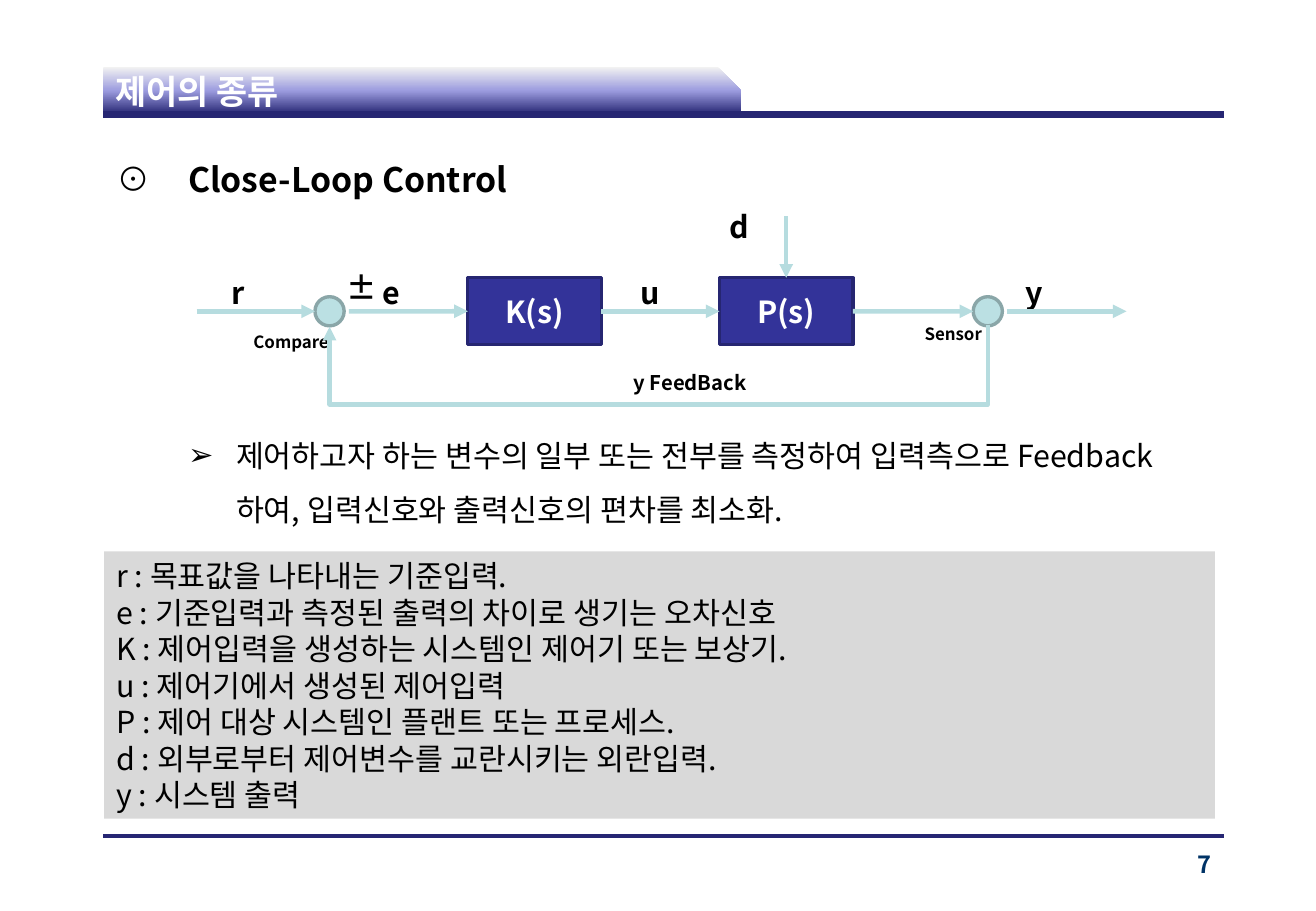
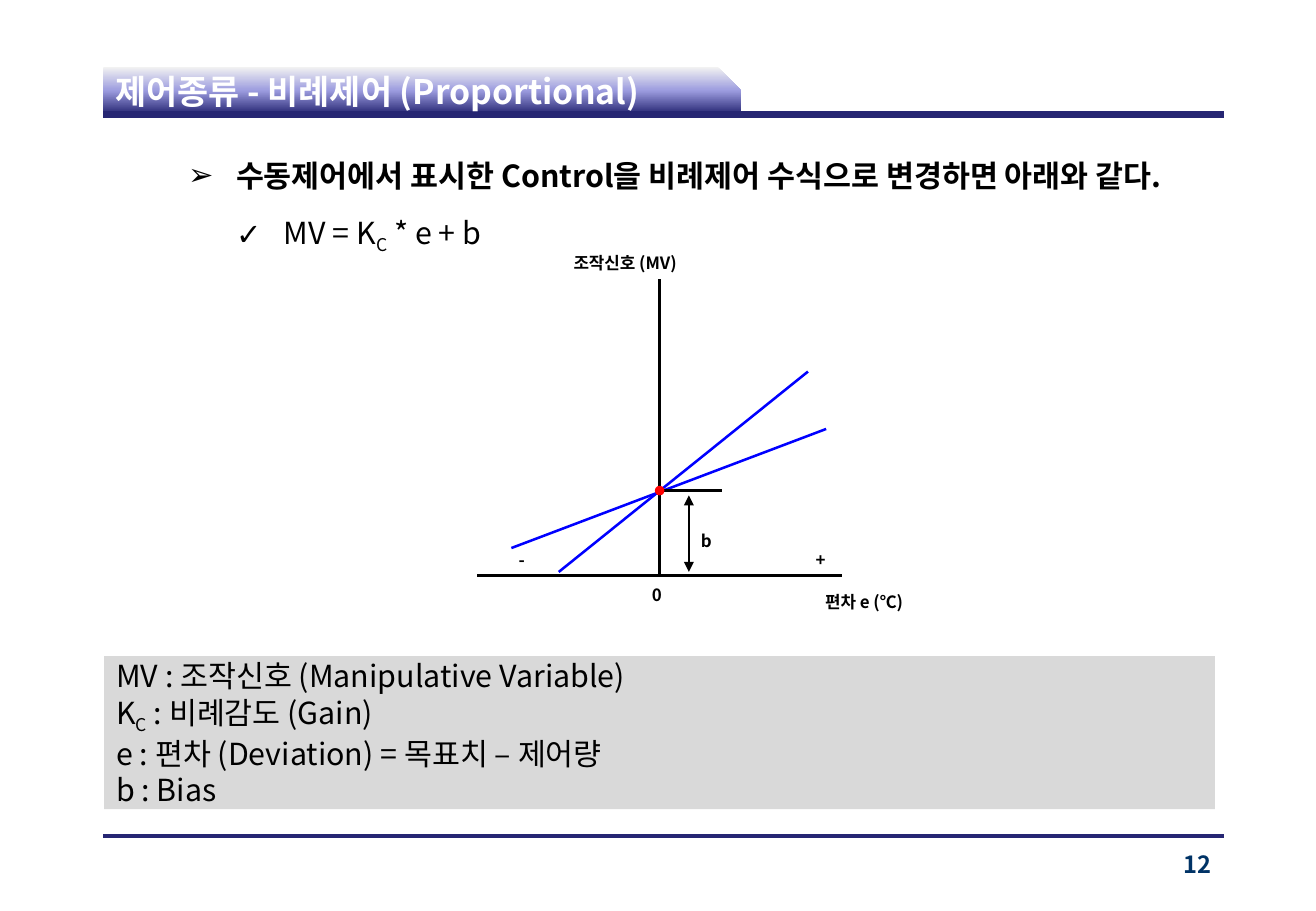
from dataclasses import dataclass

from lxml import etree
from pptx import Presentation
from pptx.dml.color import RGBColor
from pptx.enum.shapes import MSO_CONNECTOR as Link, MSO_SHAPE as Shape
from pptx.enum.text import MSO_ANCHOR as Anchor, MSO_AUTO_SIZE as Fit, PP_ALIGN as Align
from pptx.oxml.ns import qn
from pptx.util import Cm, Pt


@dataclass(frozen=True)
class Theme:
    font: str = "Noto Sans CJK KR"
    navy: str = "262673"
    band: tuple = ((0, "F2F2F2"), (50, "9C9CDF"), (100, "262673"))
    number: str = "003366"
    block: str = "333399"
    edge: str = "262671"
    signal: str = "B6DCDF"
    node: str = "BBE0E3"
    node_edge: str = "8AA6A8"
    panel: str = "D9D9D9"
    gain: str = "0000FF"
    dot: str = "FF0000"
    black: str = "000000"
    white: str = "FFFFFF"
    head: int = 20
    text: int = 18
    page: int = 14
    note: int = 12
    small: int = 10


T = Theme()

# Content: body rows are (text, bullet, left indent, hanging, size, bold, space before);
# text between underscores is subscript
LOOP = {
    "title": "제어의 종류",
    "page": "7",
    "body": [
        ("Close-Loop Control", "⊙", 1.5, 1.5, T.head, True, 0),
        ("제어하고자 하는 변수의 일부 또는 전부를 측정하여 입력측으로 Feedback하여, "
         "입력신호와 출력신호의 편차를 최소화.", "➢", 2.5, 1, T.text, False, 130),
    ],
    "panel": (11.53, 5.59, [
        "r : 목표값을 나타내는 기준입력.",
        "e : 기준입력과 측정된 출력의 차이로 생기는 오차신호",
        "K : 제어입력을 생성하는 시스템인 제어기 또는 보상기.",
        "u : 제어기에서 생성된 제어입력",
        "P : 제어 대상 시스템인 플랜트 또는 프로세스.",
        "d : 외부로부터 제어변수를 교란시키는 외란입력.",
        "y : 시스템 출력",
    ]),
    # Labels are (text, left, top, width, size)
    "labels": [
        ("r", 4.6, 5.61, 1.4, T.text), ("u", 13.13, 5.61, 1.9, T.text),
        ("y", 21.18, 5.61, 1.4, T.text), ("e", 7.75, 5.61, 1.83, T.text),
        ("d", 15.01, 4.22, 1.9, T.text), ("±", 6.99, 5.51, 1.4, T.text),
        ("y FeedBack", 13, 7.62, 5.2, T.note),
        ("Compare", 5.05, 6.81, 2.4, T.small), ("Sensor", 19.08, 6.65, 1.9, T.small),
    ],
}
PROPORTIONAL = {
    "title": "제어종류 - 비례제어 (Proportional)",
    "page": "12",
    "body": [
        ("수동제어에서 표시한 Control을 비례제어 수식으로 변경하면 아래와 같다.",
         "➢", 2.5, 1, T.text, True, 0),
        ("MV = K_C_ * e + b", "✓", 3.5, 1, T.text, False, 0),
    ],
    "panel": (13.72, 3.2, [
        "MV : 조작신호 (Manipulative Variable)",
        "K_C_ : 비례감도 (Gain)",
        "e : 편차 (Deviation) = 목표치 – 제어량",
        "b : Bias",
    ]),
    "labels": [
        ("편차 e (℃)", 17, 12.25, 2.4, T.small), ("0", 13.38, 12.1, 0.8, T.small),
        ("조작신호 (MV)", 11.74, 5.16, 3, T.small), ("+", 16.8, 11.36, 0.8, T.small),
        ("-", 10.59, 11.36, 0.8, T.small), ("b", 14.4, 10.97, 1.4, T.small),
    ],
}

# Frame and panel geometry
LEFT, RIGHT, BAND_TOP, BAND_W, BAND_H = 2.16, 25.58, 1.4, 13.34, 0.99
FOOT_Y = 17.48
BODY_LEFT, BODY_TOP, BODY_W, BODY_H = 2.18, 2.77, 23.22, 8.46


def rgb(value):
    return RGBColor.from_string(value)


def cms(*values):
    return [Cm(v) for v in values]


def write(tf, text, size=T.text, bold=False, color=T.black, align=Align.LEFT,
          anchor=None, spacing=None, before=0, bullet=None, indent=0, hang=0):
    """Add one paragraph to a text frame."""
    tf.word_wrap, tf.auto_size = True, Fit.NONE
    if anchor is not None:
        tf.vertical_anchor = anchor
    p = tf.paragraphs[0]
    if p.runs:
        p = tf.add_paragraph()
    p.alignment, p.space_before = align, Pt(before)
    if spacing:
        p.line_spacing = spacing
    if bullet:
        pPr = p._p.get_or_add_pPr()
        pPr.set("marL", str(Cm(indent)))
        pPr.set("indent", str(-Cm(hang)))
        etree.SubElement(pPr, qn("a:buChar")).set("char", bullet)
    for i, part in enumerate(text.split("_")):
        r = p.add_run()
        r.text = part
        r.font.size, r.font.bold, r.font.name = Pt(size), bold, T.font
        r.font.color.rgb = rgb(color)
        rPr = r._r.get_or_add_rPr()
        etree.SubElement(rPr, qn("a:ea")).set("typeface", T.font)
        if i % 2:
            rPr.set("baseline", "-25000")


def add_label(s, text, left, top, width, size, height=None, **fmt):
    tb = s.shapes.add_textbox(*cms(left, top, width, height or size * 0.045 + 0.25))
    write(tb.text_frame, text, size=size, bold=True, **fmt)


def add_box(s, kind, left, top, width, height, fill=None, edge=None):
    sp = s.shapes.add_shape(kind, *cms(left, top, width, height))
    sp.shadow.inherit = False
    if fill:
        sp.fill.solid()
        sp.fill.fore_color.rgb = rgb(fill)
    if edge:
        sp.line.color.rgb, sp.line.width = rgb(edge), Pt(2)
    else:
        sp.line.fill.background()
    return sp


def add_line(s, start, end, color, width, heads=(), kind=Link.STRAIGHT):
    cn = s.shapes.add_connector(kind, *cms(*start, *end))
    cn.line.color.rgb, cn.line.width = rgb(color), Pt(width)
    ln = cn.line._get_or_add_ln()
    for head in heads:
        etree.SubElement(ln, qn(f"a:{head}")).set("type", "triangle")
    etree.SubElement(cn._element.spPr, qn("a:effectLst"))
    return cn


def build_layout(prs, s):
    """Place the placeholders and move the shared frame to the layout."""
    layout = s.slide_layout
    places = {0: (LEFT, BAND_TOP, BAND_W, BAND_H), 1: (BODY_LEFT, BODY_TOP, BODY_W, BODY_H)}
    for ph in layout.placeholders:
        if ph.placeholder_format.idx in places:
            ph.left, ph.top, ph.width, ph.height = cms(*places[ph.placeholder_format.idx])
    band = add_box(s, Shape.SNIP_1_RECTANGLE, LEFT, BAND_TOP, BAND_W, BAND_H)
    band.adjustments[0] = 0.5
    band.fill.gradient()
    band.fill.gradient_angle = 270
    stops = band._element.spPr.find(qn("a:gradFill")).find(qn("a:gsLst"))
    stops.clear()
    for pos, color in T.band:
        gs = etree.SubElement(stops, qn("a:gs"), pos=str(pos * 1000))
        etree.SubElement(gs, qn("a:srgbClr"), val=color)
    rules = [add_line(s, (LEFT, y), (RIGHT, y), T.navy, width)
             for y, width in ((BAND_TOP + BAND_H, 4), (FOOT_Y, 2))]
    for part in (band, *rules):
        layout.shapes.element.append(part._element)


def fill_slide(s, data):
    write(s.shapes.title.text_frame, data["title"], size=T.head, bold=True,
          color=T.white, anchor=Anchor.MIDDLE)
    for text, bullet, indent, hang, size, bold, before in data["body"]:
        write(s.placeholders[1].text_frame, text, size=size, bold=bold, spacing=1.5,
              before=before, bullet=bullet, indent=indent, hang=hang)
    top, height, lines = data["panel"]
    panel = add_box(s, Shape.RECTANGLE, BODY_LEFT, top, BODY_W, height, T.panel)
    for line in lines:
        write(panel.text_frame, line, anchor=Anchor.MIDDLE)
    add_label(s, data["page"], RIGHT - 3, 17.65, 3, T.page, color=T.number, align=Align.RIGHT)
    for label in data["labels"]:
        add_label(s, *label)


def draw_loop(s):
    axis, block_w, block_h, node_d = 6.51, 2.79, 1.4, 0.61
    gap = 0.1

    def block(text, left):
        sp = add_box(s, Shape.RECTANGLE, left, axis - block_h / 2, block_w, block_h,
                     T.block, T.edge)
        write(sp.text_frame, text, bold=True, color=T.white, align=Align.CENTER,
              anchor=Anchor.MIDDLE)
        return sp

    def node(x):
        return add_box(s, Shape.OVAL, x - node_d / 2, axis - node_d / 2, node_d, node_d,
                       T.node, T.node_edge)

    def arrow(start, end):
        return add_line(s, start, end, T.signal, 2.7, ["tailEnd"])

    k_left, p_left, compare_x, sensor_x = 9.78, 15.04, 6.89, 20.65
    controller, plant = block("K(s)", k_left), block("P(s)", p_left)
    compare, sensor = node(compare_x), node(sensor_x)
    r = node_d / 2

    # Signals along the axis, then the disturbance
    arrow((4.11, axis), (compare_x - r, axis))
    arrow((compare_x + r + gap, axis), (k_left, axis)).end_connect(controller, 1)
    u = arrow((k_left + block_w, axis), (p_left, axis))
    u.begin_connect(controller, 3)
    u.end_connect(plant, 1)
    arrow((p_left + block_w, axis), (sensor_x - r, axis)).begin_connect(plant, 3)
    arrow((sensor_x + r + gap, axis), (23.55, axis))
    plant_x = p_left + block_w / 2
    arrow((plant_x, 4.52), (plant_x, axis - block_h / 2)).end_connect(plant, 0)

    # Feedback: an elbow turned by 90 degrees, from node bottom to node bottom
    thin, depth, span = 0.04, 1.66, sensor_x - compare_x
    mid_x, mid_y = (compare_x + sensor_x) / 2, axis + r
    left, top = mid_x - thin / 2, mid_y - span / 2
    cn = add_line(s, (left, top), (left + thin, top + span), T.signal, 2.7,
                  ["tailEnd"], Link.ELBOW)
    cn.rotation = 90
    guides = cn._element.spPr.find(qn("a:prstGeom")).find(qn("a:avLst"))
    etree.SubElement(guides, qn("a:gd"), name="adj1", fmla=f"val {round(depth / thin * 100000)}")
    ends = cn._element.nvCxnSpPr.cNvCxnSpPr
    for tag, sp in (("a:stCxn", sensor), ("a:endCxn", compare)):
        etree.SubElement(ends, qn(tag), id=str(sp.shape_id), idx="4")


def draw_graph(s):
    zero_x, base_y, bias_y, dot_d = 13.79, 12.04, 10.26, 0.2
    lines = [
        ((9.98, base_y), (17.6, base_y), T.black, 2),
        ((zero_x, 5.84), (zero_x, base_y), T.black, 2),
        ((10.69, 11.46), (17.27, 8.97), T.gain, 1.5),
        ((11.68, 11.96), (16.89, 7.77), T.gain, 1.5),
        ((zero_x + 0.1, bias_y), (15.09, bias_y), T.black, 1.5),
        ((14.4, bias_y + 0.1), (14.4, base_y - 0.08), T.black, 1, ["headEnd", "tailEnd"]),
    ]
    for line in lines:
        add_line(s, *line)
    add_box(s, Shape.OVAL, zero_x - dot_d / 2, bias_y - dot_d / 2, dot_d, dot_d, T.dot)


def main():
    prs = Presentation()
    prs.slide_width, prs.slide_height = cms(27.51, 19.05)
    layout = prs.slide_layouts[1]
    for i, (data, draw) in enumerate(((LOOP, draw_loop), (PROPORTIONAL, draw_graph))):
        s = prs.slides.add_slide(layout)
        if i == 0:
            build_layout(prs, s)
        fill_slide(s, data)
        draw(s)
    prs.save("out.pptx")


if __name__ == "__main__":
    main()
